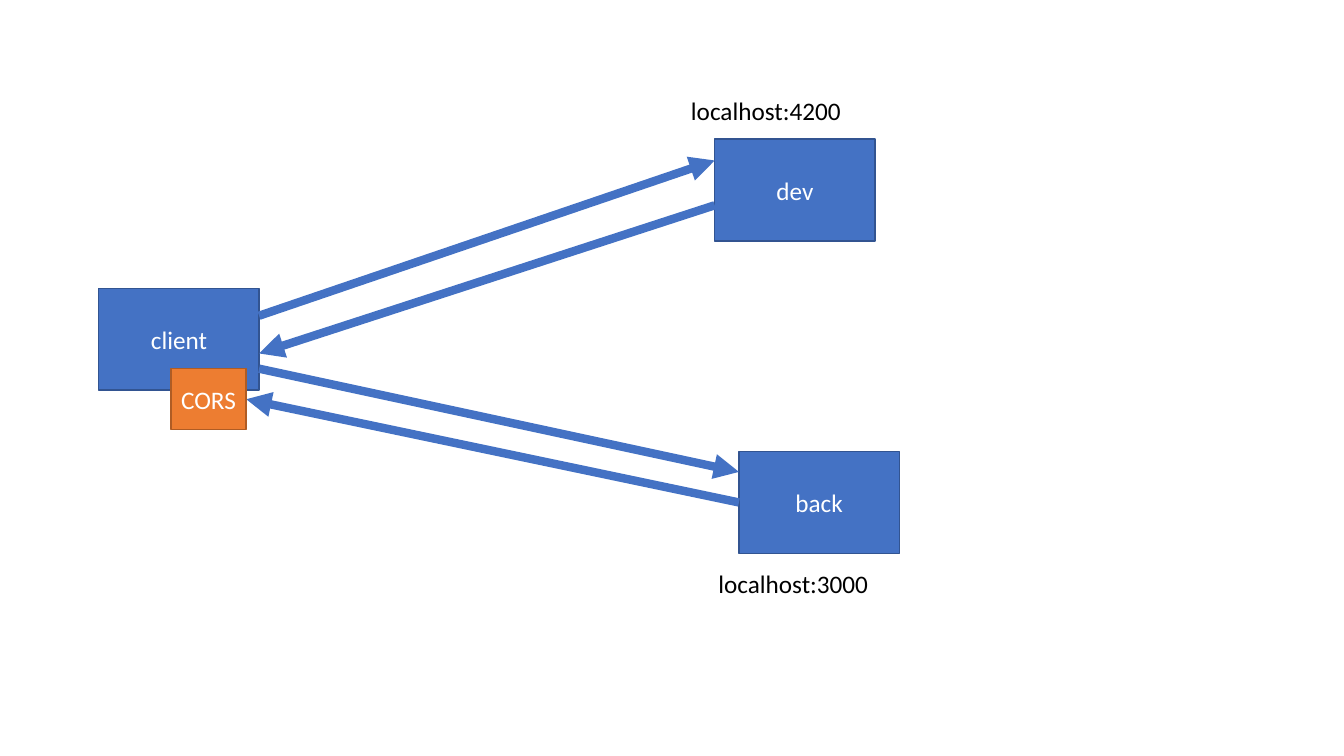
import pptx
import pptx.util
import pptx.dml.color
import pptx.enum.shapes
import pptx.enum.text
import pptx.oxml

COLORS = {
    "blue": "4472C4", "blue_edge": "325491",
    "orange": "ED7D31", "orange_edge": "AF5C24",
    "white": "FFFFFF", "black": "000000",
}
FONT = "Calibri"
BOX_SIZE = (11.93, 13.47)


def rgb(name):
    """Return the named colour."""
    return pptx.dml.color.RGBColor.from_string(COLORS[name])


def within(box, x, y, w, h):
    """Return the area given by shares of a box."""
    left, top, width, height = box
    return (round(left + x * width), round(top + y * height),
            round(w * width), round(h * height))


def write(sp, text, color):
    """Set and format the single line of text in a shape."""
    p = sp.text_frame.paragraphs[0]
    p.text = text
    font = p.runs[0].font
    font.name, font.size = FONT, pptx.util.Pt(18)
    font.color.rgb = rgb(color)
    return p


def add_box(s, box, text, color="blue"):
    """Add a filled rectangle with centred text."""
    sp = s.shapes.add_shape(pptx.enum.shapes.MSO_SHAPE.RECTANGLE, *box)
    sp.shadow.inherit = False
    sp.fill.solid()
    sp.fill.fore_color.rgb = rgb(color)
    sp.line.color.rgb = rgb(color + "_edge")
    sp.line.width = pptx.util.Pt(1)
    tf = sp.text_frame
    tf.vertical_anchor = pptx.enum.text.MSO_ANCHOR.MIDDLE
    tf.margin_left = tf.margin_right = pptx.util.Inches(0.05)
    write(sp, text, "white").alignment = pptx.enum.text.PP_ALIGN.CENTER


def add_server(s, box, name, address, x, y):
    """Add a server box and its address, offset by shares of the box."""
    add_box(s, box, name)
    sp = s.shapes.add_textbox(*within(box, x, y, 1.07, 0.4))
    sp.text_frame.word_wrap = False
    sp.text_frame.auto_size = pptx.enum.text.MSO_AUTO_SIZE.SHAPE_TO_FIT_TEXT
    write(sp, address, "black")


def add_arrow(s, start, end):
    """Add an arrow between two (box, side, height) anchors."""
    points = [within(box, x, y, 0, 0)[:2] for box, x, y in (start, end)]
    c = s.shapes.add_connector(
        pptx.enum.shapes.MSO_CONNECTOR.STRAIGHT, *points[0], *points[1])
    c.line.color.rgb = rgb("blue")
    c.line.width = pptx.util.Pt(6)
    ln = c.line._get_or_add_ln()
    tail = pptx.oxml.parse_xml(
        '<a:tailEnd xmlns:a="http://schemas.openxmlformats.org/drawingml/2006/main"'
        ' type="triangle"/>')
    ln.append(tail)
    ln.addnext(tail.makeelement(tail.tag.replace("tailEnd", "effectLst")))


def add_diagram(s, area):
    """Draw the client, both servers and their traffic in the given area."""
    client, dev, back = (
        within(area, x / 100, y / 100, BOX_SIZE[0] / 100, BOX_SIZE[1] / 100)
        for x, y in ((7.35, 38.13), (53.18, 18.4), (54.98, 59.73)))
    cors = within(client, 0.45, 0.79, 0.47, 0.6)
    add_box(s, client, "client")
    add_server(s, dev, "dev", "localhost:4200", -0.21, -0.48)
    add_server(s, back, "back", "localhost:3000", -0.19, 1.1)
    for start, end in (
        ((client, 1, 0.27), (dev, 0, 0.21)),
        ((dev, 0, 0.65), (client, 1, 0.64)),
        ((client, 1, 0.79), (back, 0, 0.2)),
        ((back, 0, 0.5), (cors, 1, 0.5)),
    ):
        add_arrow(s, start, end)
    add_box(s, cors, "CORS", "orange")


def main():
    """Build and save the presentation."""
    prs = pptx.Presentation()
    prs.slide_width = pptx.util.Inches(13.33)
    prs.slide_height = pptx.util.Inches(7.5)
    s = prs.slides.add_slide(prs.slide_layouts[6])
    add_diagram(s, (0, 0, prs.slide_width, prs.slide_height))
    prs.save("out.pptx")


if __name__ == "__main__":
    main()
